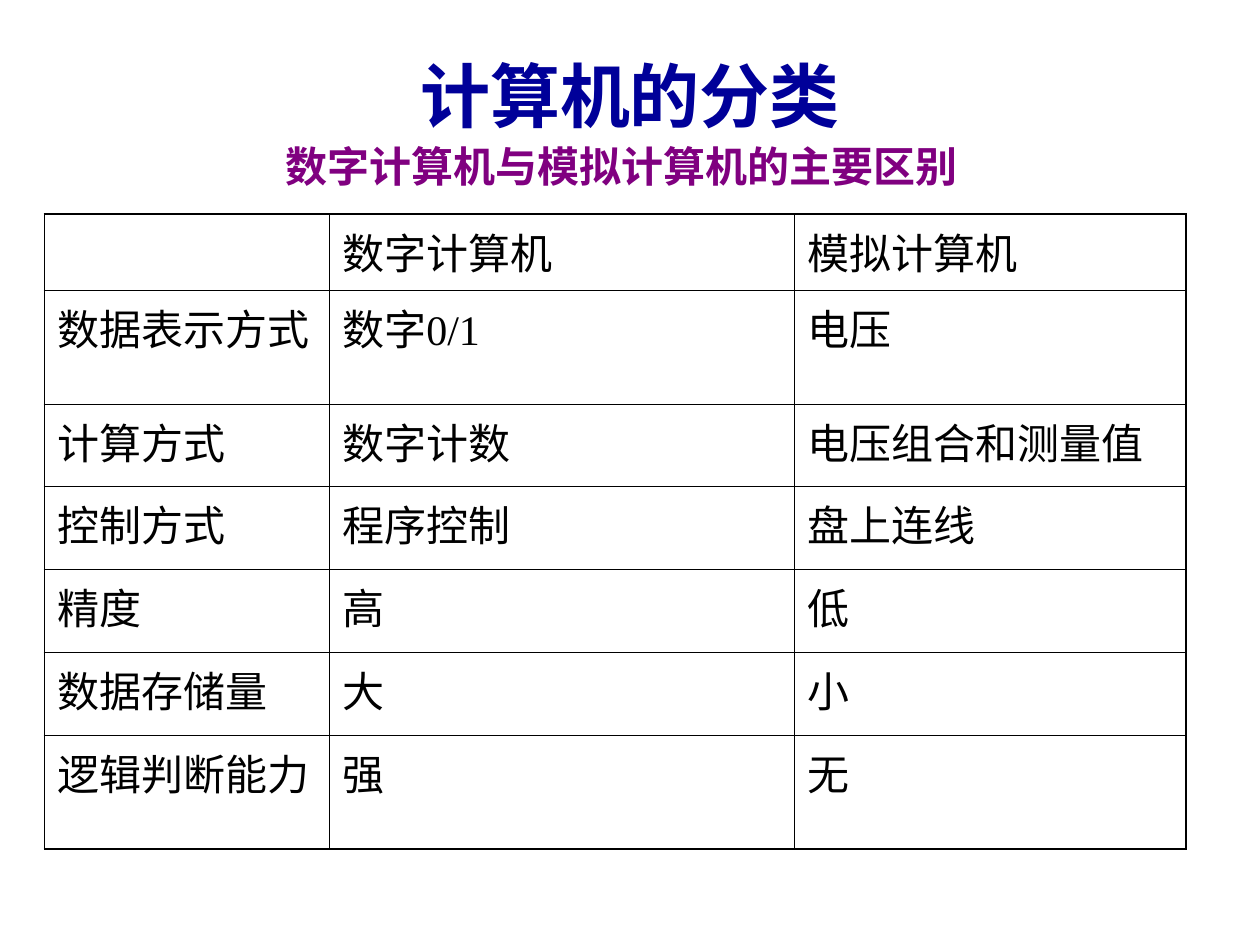
import pptx
import pptx.dml.color
import pptx.enum.text
import pptx.oxml
import pptx.oxml.ns
import pptx.util

Pt = pptx.util.Pt
RGB = pptx.dml.color.RGBColor
ALIGN = pptx.enum.text.PP_ALIGN
ANCHOR = pptx.enum.text.MSO_ANCHOR
FIT = pptx.enum.text.MSO_AUTO_SIZE

NAVY = RGB(0x00, 0x00, 0x99)
PURPLE = RGB(0x80, 0x00, 0x80)
BLACK = RGB(0x00, 0x00, 0x00)
FONT = "Times New Roman"
THICK, THIN = 1.08, 0.45

ROWS = [
    ("", "数字计算机", "模拟计算机"),
    ("数据表示方式", "数字0/1", "电压"),
    ("计算方式", "数字计数", "电压组合和测量值"),
    ("控制方式", "程序控制", "盘上连线"),
    ("精度", "高", "低"),
    ("数据存储量", "大", "小"),
    ("逻辑判断能力", "强", "无"),
]
WIDTHS = [163, 265.7, 223.5]
HEIGHTS = [43.4, 65.1] + [47.3] * 4 + [65.1]


def write(frame, text, size=24, color=BLACK, bold=False, align=ALIGN.LEFT, before=0):
    """Put one formatted paragraph into a text frame."""
    para = frame.paragraphs[0]
    para.text = text
    para.alignment = align
    para.space_before = Pt(before)
    font = para.font if not para.runs else para.runs[0].font
    font.name, font.size, font.bold = FONT, Pt(size), bold
    font.color.rgb = color


def edge(cell, sides):
    """Draw the cell's borders from a map of side to line width."""
    props = cell._tc.get_or_add_tcPr()
    space = pptx.oxml.ns.nsdecls("a")
    for spot, (side, width) in enumerate(sides.items()):
        line = pptx.oxml.parse_xml(
            f'<a:ln{side} {space} w="{int(Pt(width))}"><a:solidFill>'
            f'<a:srgbClr val="{BLACK}"/></a:solidFill></a:ln{side}>'
        )
        props.insert(spot, line)


def add_title(slide, left, top, width, height):
    """Place the slide title in the given box."""
    title = slide.shapes.title
    title.left, title.top = Pt(left), Pt(top)
    title.width, title.height = Pt(width), Pt(height)
    frame = title.text_frame
    frame.auto_size = FIT.NONE
    frame.vertical_anchor = ANCHOR.MIDDLE
    write(frame, "计算机的分类", size=40, color=NAVY, bold=True, align=ALIGN.CENTER)


def add_head(slide, left, top, width, height):
    """Place the table heading in the given box."""
    box = slide.shapes.add_textbox(Pt(left), Pt(top), Pt(width), Pt(height))
    frame = box.text_frame
    frame.word_wrap = True
    frame.auto_size = FIT.SHAPE_TO_FIT_TEXT
    write(frame, "数字计算机与模拟计算机的主要区别", color=PURPLE, bold=True)


def add_grid(slide, left, top):
    """Place the comparison table with its corner at the given point."""
    shape = slide.shapes.add_table(
        len(ROWS), len(WIDTHS), Pt(left), Pt(top), Pt(sum(WIDTHS)), Pt(sum(HEIGHTS))
    )
    table = shape.table
    table.first_row = table.horz_banding = False
    for col, width in zip(table.columns, WIDTHS):
        col.width = Pt(width)
    for row, height in zip(table.rows, HEIGHTS):
        row.height = Pt(height)
    last_row, last_col = len(ROWS) - 1, len(WIDTHS) - 1
    for y, texts in enumerate(ROWS):
        for x, text in enumerate(texts):
            cell = table.cell(y, x)
            cell.fill.background()
            outer = {"L": x == 0, "R": x == last_col, "T": y == 0, "B": y == last_row}
            edge(cell, {side: THICK if rim else THIN for side, rim in outer.items()})
            write(cell.text_frame, text, before=6)


def main():
    """Build and save the slide."""
    deck = pptx.Presentation()
    deck.slide_width, deck.slide_height = Pt(720), Pt(540)
    slide = deck.slides.add_slide(deck.slide_layouts[5])
    add_title(slide, 24, 30, 672, 48)
    add_grid(slide, 25.4, 122.4)
    add_head(slide, 155.8, 77, 408, 36)
    deck.save("out.pptx")


if __name__ == "__main__":
    main()
